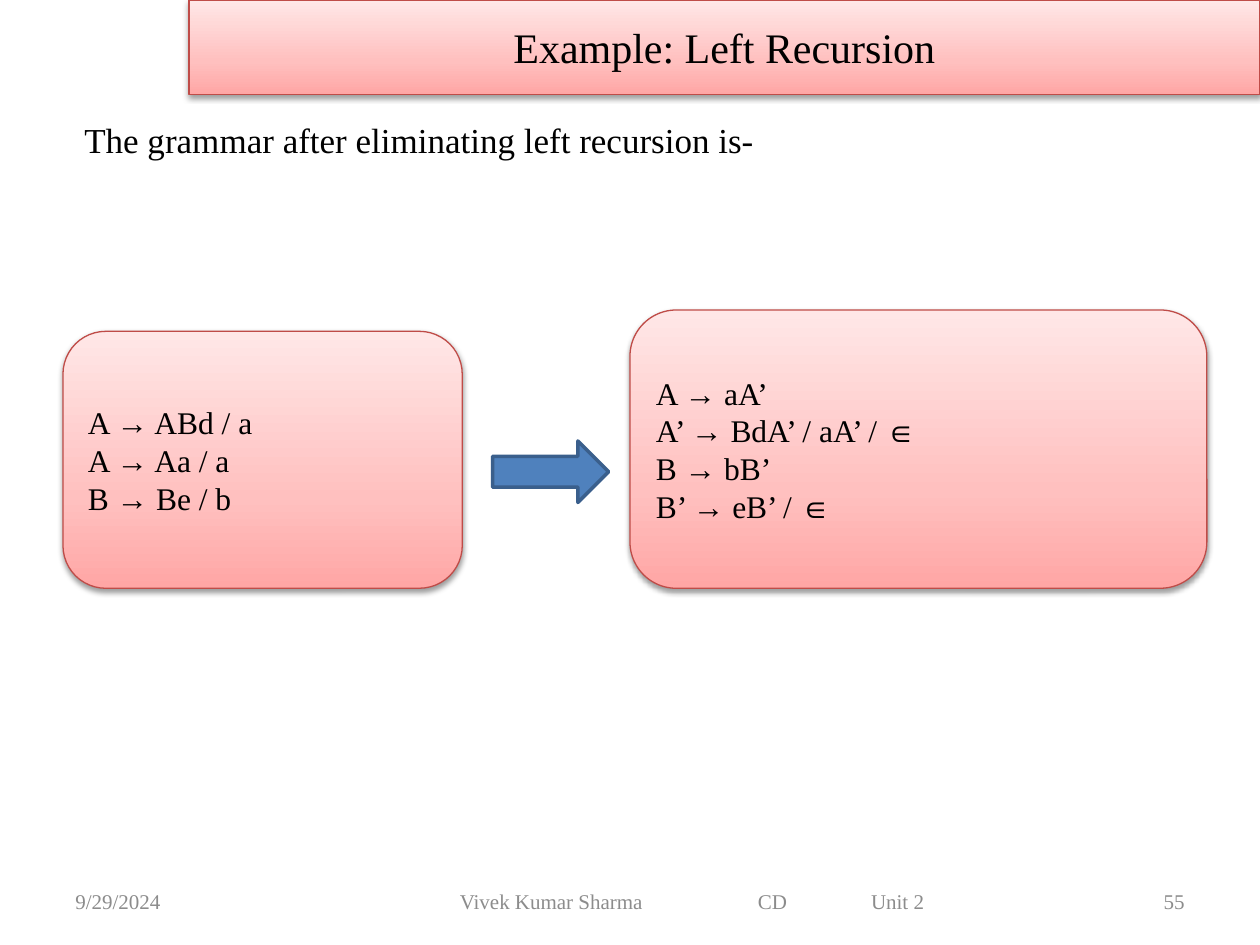
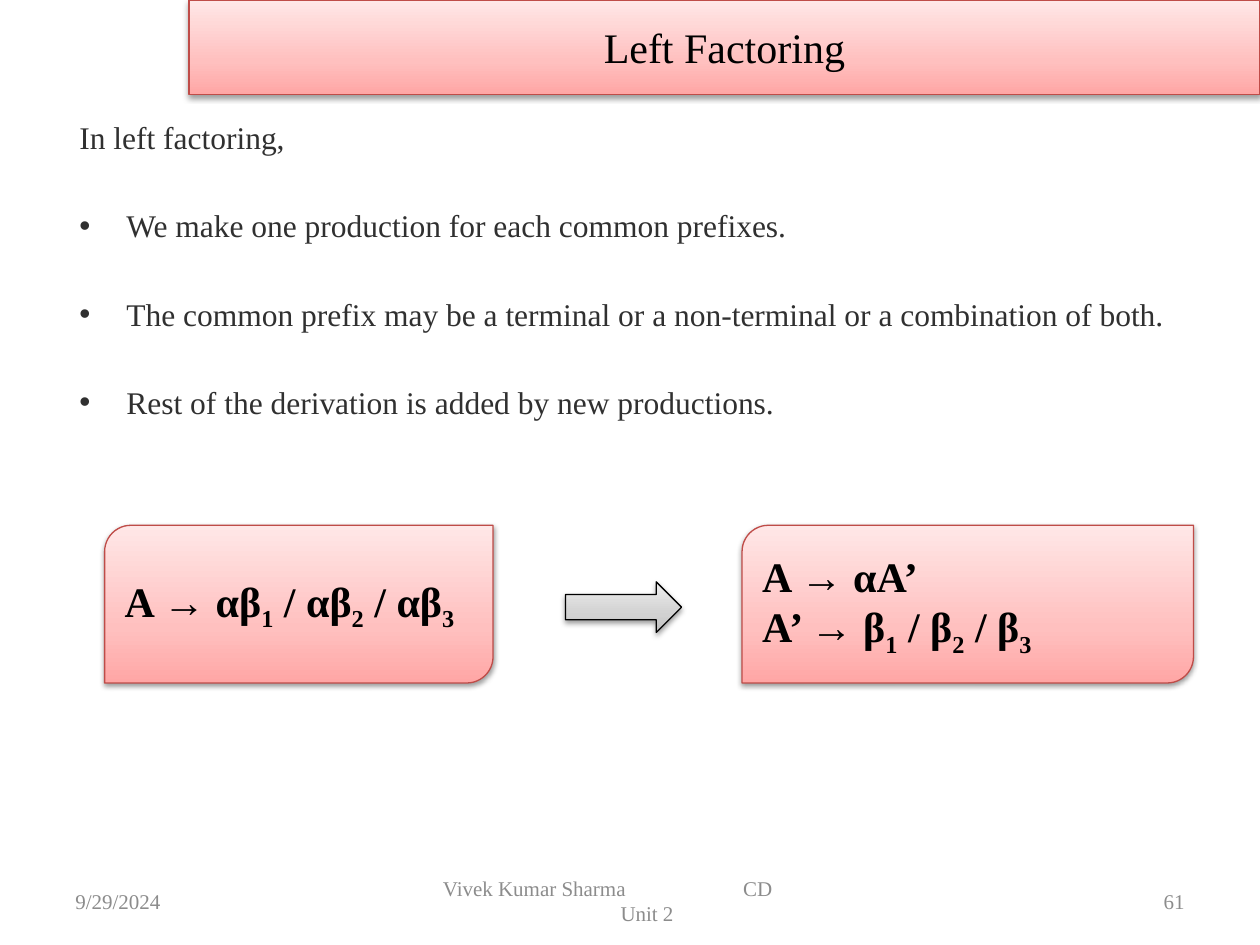
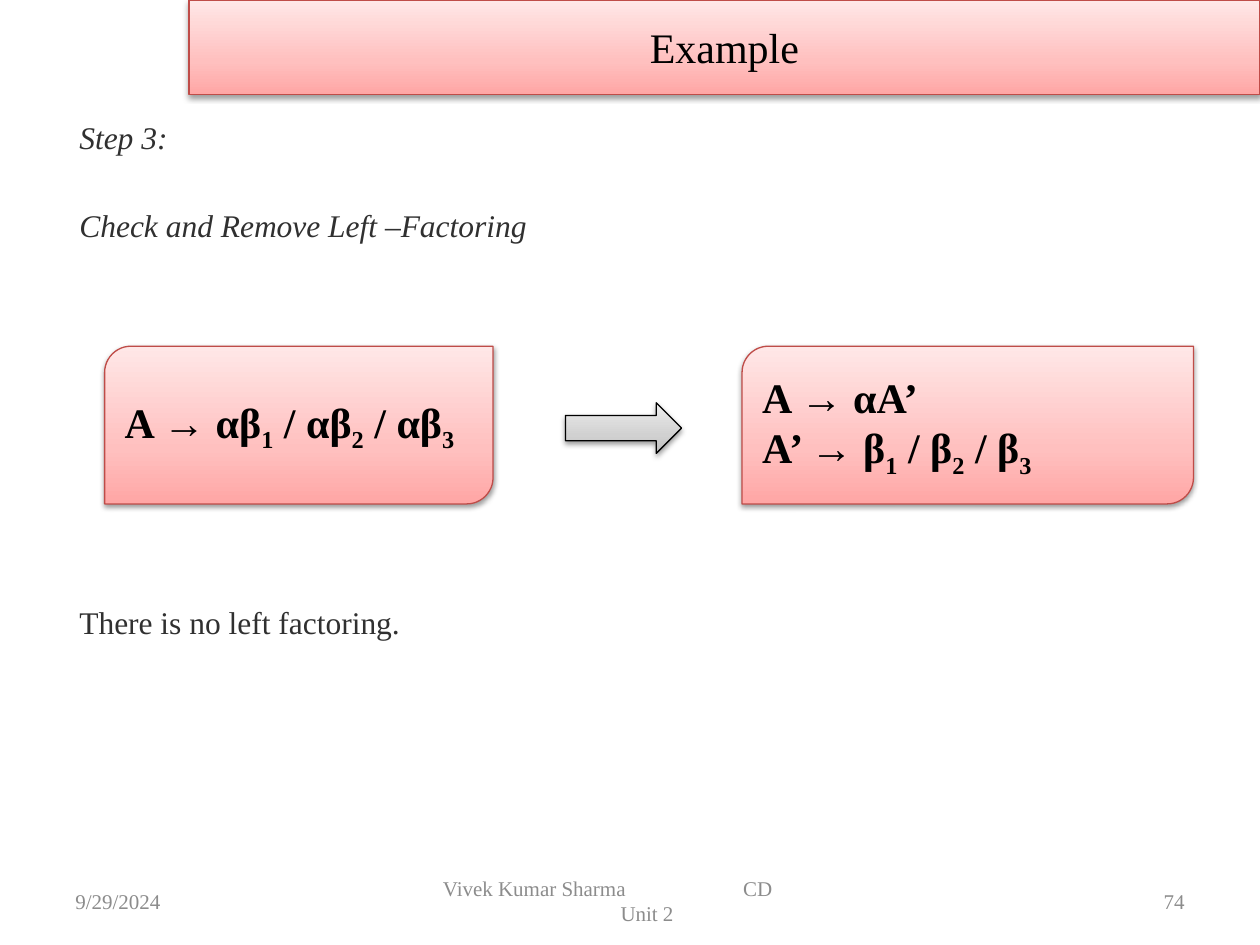
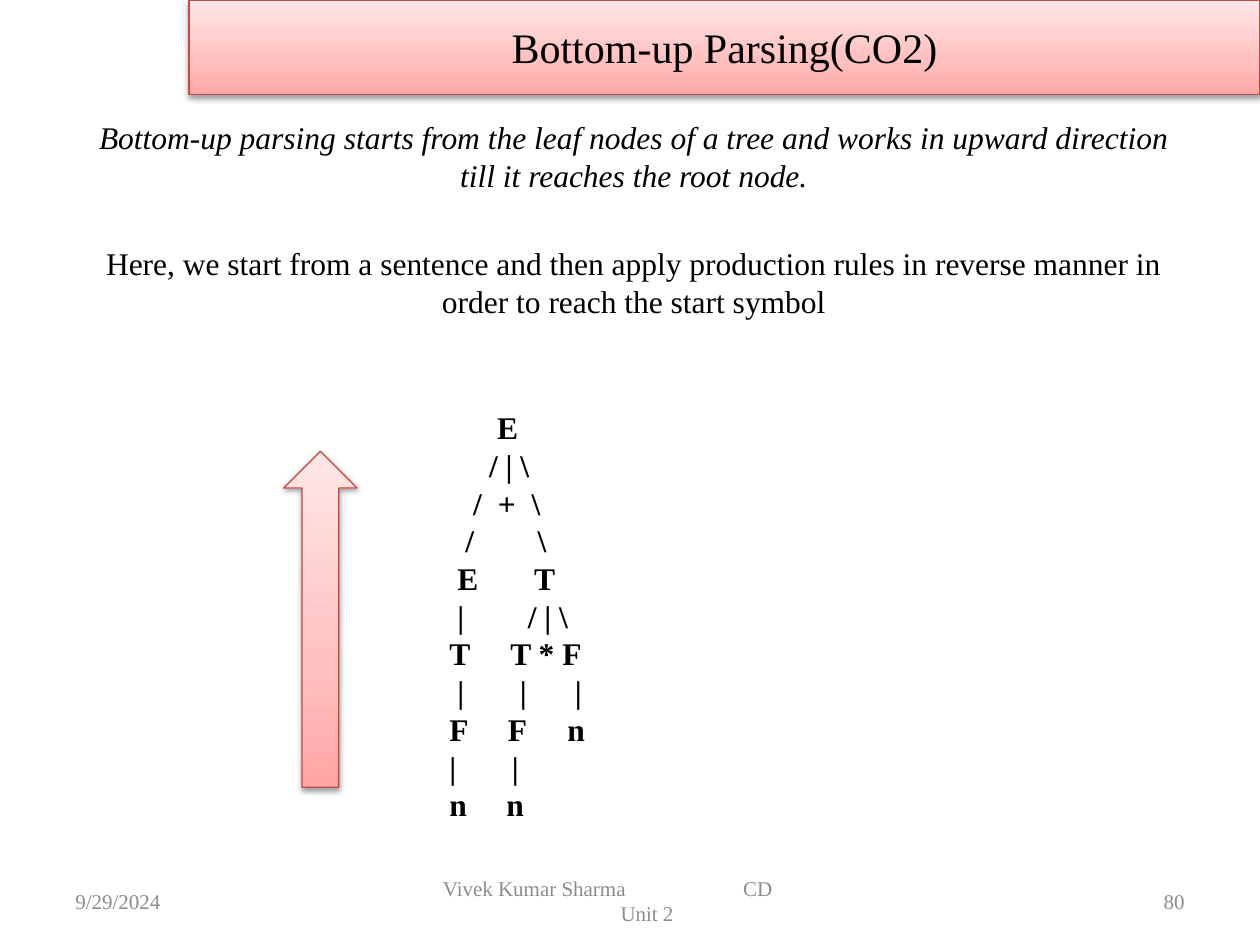
from itertools import groupby

from lxml.etree import SubElement
from pptx import Presentation
from pptx.dml.color import RGBColor
from pptx.enum.shapes import MSO_SHAPE
from pptx.enum.text import MSO_ANCHOR, PP_ALIGN
from pptx.oxml import parse_xml
from pptx.oxml.ns import nsdecls, qn
from pptx.util import Cm, Pt

FONT = "Times New Roman"
BLACK, DARK, GREY = "000000", "303030", "8C8C8C"
ROSE = ("FFA6A5", "FFC0BF", "FFE7E7")
SILVER = ("BDBDBD", "D1D1D1", "EEEEEE")
RED = "BF4C48"
GAP = 28.8  # points between spaced paragraphs
hue = RGBColor.from_string


def paint(shape, stops=ROSE, edge=RED):
    """Give a shape an upward gradient, a thin edge and a soft shadow."""
    shape.line.color.rgb = hue(edge)
    shape.line.width = Pt(0.75)
    marks = "".join(
        f'<a:gs pos="{spot}"><a:srgbClr val="{stop}"/></a:gs>'
        for spot, stop in zip((0, 35000, 100000), stops))
    props = shape.element.spPr
    props.find(qn("a:ln")).addprevious(parse_xml(
        f'<a:gradFill {nsdecls("a")} rotWithShape="1"><a:gsLst>{marks}</a:gsLst>'
        '<a:lin ang="16200000" scaled="0"/></a:gradFill>'))
    props.append(parse_xml(
        f'<a:effectLst {nsdecls("a")}><a:outerShdw blurRad="40000" dist="20000" '
        'dir="5400000" rotWithShape="0"><a:srgbClr val="000000">'
        '<a:alpha val="38000"/></a:srgbClr></a:outerShdw></a:effectLst>'))


def write(shape, lines, size, ink=BLACK, align=PP_ALIGN.LEFT,
          anchor=MSO_ANCHOR.MIDDLE, gap=0, tabs=()):
    """Fill a shape with paragraphs; a leading • makes a bullet, tabs are in cm."""
    frame = shape.text_frame
    frame.word_wrap = True
    frame.vertical_anchor = anchor
    for i, line in enumerate(lines):
        para = frame.add_paragraph() if i else frame.paragraphs[0]
        para.alignment = align
        if i and gap:
            para.space_before = Pt(gap)
        props = para._p.get_or_add_pPr()
        if line.startswith("•"):
            props.set("marL", str(Cm(0.95)))
            props.set("indent", str(Cm(-0.95)))
            SubElement(props, qn("a:buFont"), typeface="Arial")
            SubElement(props, qn("a:buChar"), char="•")
        if tabs:
            stops = SubElement(props, qn("a:tabLst"))
            for tab in tabs:
                SubElement(stops, qn("a:tab"), pos=str(Cm(tab)), algn="l")
        para.font.name = FONT
        para.font.size = Pt(size)
        para.font.color.rgb = hue(ink)
        para.text = line.removeprefix("•")
    return frame.paragraphs


deck = Presentation()
deck.slide_width, deck.slide_height = Cm(25.4), Cm(19.05)

# Title band and footer of every slide
wide = (10.58, ["\tVivek Kumar Sharma\tCD\tUnit 2"], (0.34, 6.35, 8.63))
slim = (8.04, ["Vivek Kumar Sharma\tCD", "\tUnit 2"], (3.58, 6.05))
pages = [
    ("Example: Left Recursion", "55", wide),
    ("Left Factoring", "61", slim),
    ("Example", "74", slim),
    ("Bottom-up Parsing(CO2)", "80", slim),
]
slides = []
for head, number, (span, credit, tabs) in pages:
    slide = deck.slides.add_slide(deck.slide_layouts[5])
    title = slide.shapes.title
    title.left, title.top, title.width, title.height = Cm(3.81), Cm(0), Cm(21.59), Cm(1.9)
    paint(title)
    write(title, [head], 24, align=PP_ALIGN.CENTER)
    for left, width, lines, align, stops in (
            (1.27, 5.93, ["9/29/2024"], PP_ALIGN.LEFT, ()),
            (8.68, span, credit, PP_ALIGN.LEFT, tabs),
            (18.2, 5.93, [number], PP_ALIGN.RIGHT, ())):
        box = slide.shapes.add_textbox(Cm(left), Cm(17.65), Cm(width), Cm(1.02))
        write(box, lines, 12, GREY, align, tabs=stops)
    slides.append(slide)

# Body text
bodies = [
    (1.45, 14.05, ["The grammar after eliminating left recursion is-"],
     20, BLACK, PP_ALIGN.LEFT),
    (1.35, 14.05, ["In left factoring,",
                   "•We make one production for each common prefixes.",
                   "•The common prefix may be a terminal or a non-terminal "
                   "or a combination of both.",
                   "•Rest of the derivation is added by new productions."],
     18, DARK, PP_ALIGN.LEFT),
    (1.35, 14.05, ["Step 3:", "Check and Remove Left –Factoring",
                   "There is no left factoring."],
     18, DARK, PP_ALIGN.JUSTIFY),
    (1.35, 5, ["Bottom-up parsing starts from the leaf nodes of a tree and works "
               "in upward direction till it reaches the root node.",
               "Here, we start from a sentence and then apply production rules "
               "in reverse manner in order to reach the start symbol"],
     18, BLACK, PP_ALIGN.CENTER),
]
texts = []
for slide, (left, height, lines, size, ink, align) in zip(slides, bodies):
    box = slide.shapes.add_textbox(Cm(left), Cm(2.26), Cm(22.86), Cm(height))
    texts.append(write(box, lines, size, ink, align, MSO_ANCHOR.TOP, GAP))
for para in (*texts[2][:2], texts[3][0]):
    para.font.italic = True
texts[2][2].space_before = Pt(205.2)

# Left recursion: grammar before and after
shapes = slides[0].shapes
for left, top, width, height, rules in (
        (12.7, 6.25, 11.63, 5.61,
         ["A → aA’", "A’ → BdA’ / aA’ / ∈", "B → bB’", "B’ → eB’ / ∈"]),
        (1.27, 6.68, 8.05, 5.18, ["A → ABd / a", "A → Aa / a", "B → Be / b"])):
    card = shapes.add_shape(MSO_SHAPE.ROUNDED_RECTANGLE,
                            Cm(left), Cm(top), Cm(width), Cm(height))
    paint(card)
    write(card, rules, 18)
arrow = shapes.add_shape(MSO_SHAPE.RIGHT_ARROW, Cm(9.93), Cm(8.89), Cm(2.34), Cm(1.24))
arrow.shadow.inherit = False
arrow.fill.solid()
arrow.fill.fore_color.rgb = hue("4F81BD")
arrow.line.color.rgb = hue("3A5F8C")
arrow.line.width = Pt(2)

# Left factoring: digits are subscripts, arrows are not bold
for slide, top in ((slides[1], 10.59), (slides[2], 6.98)):
    for left, width, rules in ((2.11, 7.83, ["A → αβ1 / αβ2 / αβ3"]),
                               (14.96, 9.1, ["A → αA’", "A’ → β1 / β2 / β3"])):
        card = slide.shapes.add_shape(MSO_SHAPE.ROUND_2_DIAG_RECTANGLE,
                                      Cm(left), Cm(top), Cm(width), Cm(3.18))
        paint(card)
        for para, rule in zip(write(card, [""] * len(rules), 24), rules):
            para.font.bold = True
            for (low, thin), part in groupby(rule, lambda c: (c.isdigit(), c == "→")):
                run = para.add_run()
                run.text = "".join(part)
                if low:
                    run.font._element.set("baseline", "-25000")
                if thin:
                    run.font.bold = False
    arrow = slide.shapes.add_shape(MSO_SHAPE.RIGHT_ARROW,
                                   Cm(11.4), Cm(top + 1.14), Cm(2.34), Cm(1.02))
    paint(arrow, SILVER, BLACK)

# Parse tree: each row maps a column to its text
shapes = slides[3].shapes
paint(shapes.add_shape(MSO_SHAPE.UP_ARROW, Cm(5.72), Cm(9.1), Cm(1.48), Cm(6.77)))
tree = [
    {6: "E"},
    {5: "/ | \\"},
    {3: "/", 6.1: "+", 10.4: "\\"},
    {2: "/", 11.1: "\\"},
    {1: "E", 10.7: "T"},
    {1: "|", 9.9: "/ | \\"},
    {0: "T", 7.7: "T * F"},
    {1: "|", 8.9: "|", 15.8: "|"},
    {0: "F", 7.4: "F", 14.9: "n"},
    {0: "|", 7.9: "|"},
    {0: "n", 7.2: "n"},
]
STEP, ROW = 0.16, 0.76
for i, row in enumerate(tree):
    box = shapes.add_textbox(Cm(8.9), Cm(8.23 + i * ROW), Cm(4), Cm(ROW))
    frame = box.text_frame
    frame.margin_left = frame.margin_right = frame.margin_top = frame.margin_bottom = 0
    tabs = [round((column + 1) * STEP, 2) for column in row]
    line = "".join("\t" + mark for mark in row.values())
    write(box, [line], 18, anchor=MSO_ANCHOR.TOP, tabs=tabs)[0].font.bold = True

deck.save("out.pptx")
